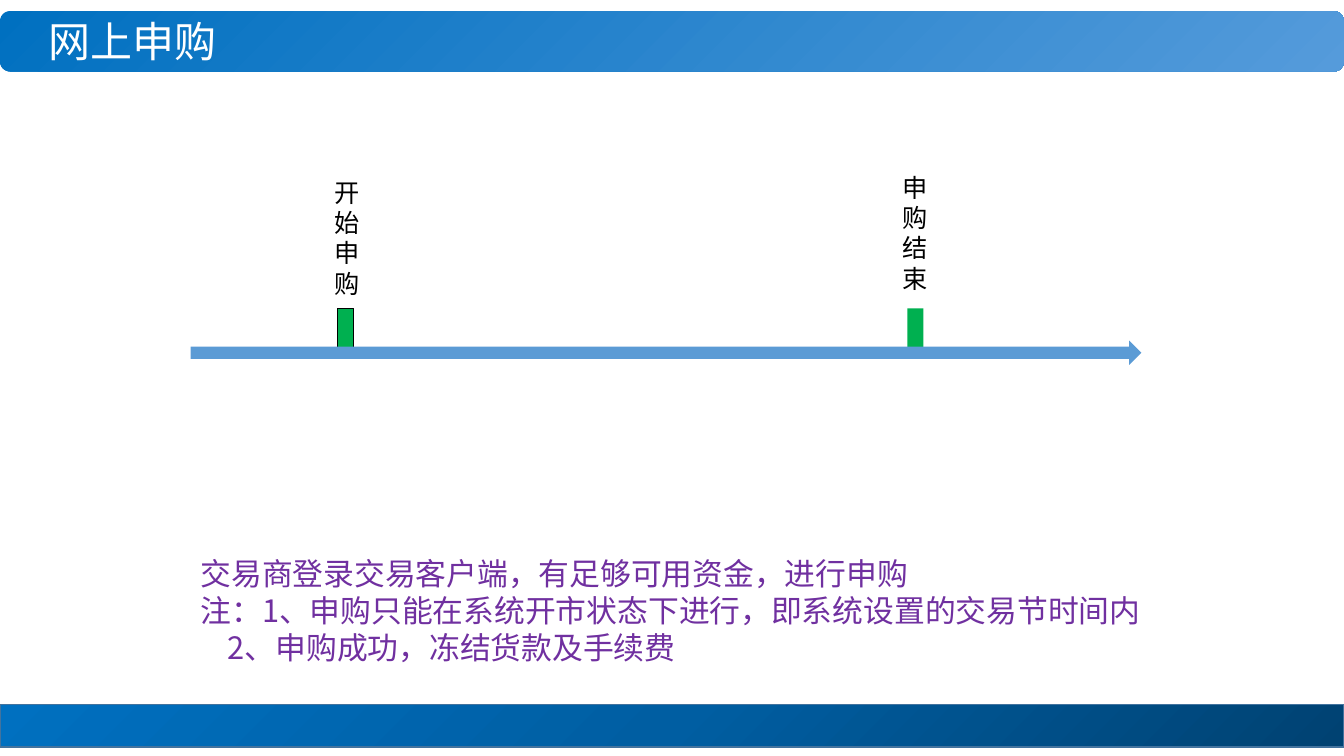
from dataclasses import dataclass

import pptx
import pptx.dml.color
import pptx.enum.shapes
import pptx.enum.text
import pptx.oxml
import pptx.oxml.ns
import pptx.util
from pptx.util import Inches

TITLE = "网上申购"
MILESTONES = [
    # label, marker left, label box (left, top, width), marker outlined
    ("开始申购", 3.35, (3.22, 1.71, 0.41), True),
    ("申购结束", 9.0, (8.85, 1.66, 0.45), False),
]
NOTES = [
    # text, left indent
    ("交易商登录交易客户端，有足够可用资金，进行申购", 0),
    ("注：1、申购只能在系统开市状态下进行，即系统设置的交易节时间内", 0),
    ("2、申购成功，冻结货款及手续费", 0.27),
]


@dataclass(frozen=True)
class Theme:
    header_stops: tuple = ((0, "0070C0"), (100, "559BDB"))
    footer_stops: tuple = ((0, "004272"), (50, "005EA2"), (100, "0070C0"))
    footer_line: str = "43739E"
    marker: str = "00B050"
    arrow: str = "5B9BD5"
    black: str = "000000"
    white: str = "FFFFFF"
    note: str = "7030A0"
    latin: str = "Calibri"
    chinese: str = "Noto Sans CJK SC"
    title_size: int = 30
    label_size: int = 18
    note_size: int = 22


THEME = Theme()
SHAPES = pptx.enum.shapes.MSO_SHAPE
ANCHOR = pptx.enum.text.MSO_ANCHOR
LINEAR = '<a:lin ang="2700000" scaled="0"/>'
FROM_BOTTOM_RIGHT = '<a:path path="circle"><a:fillToRect l="100000" t="100000"/></a:path>'


def rgb(color):
    return pptx.dml.color.RGBColor.from_string(color)


def place(shape, left, top, width, height):
    shape.left, shape.top = Inches(left), Inches(top)
    shape.width, shape.height = Inches(width), Inches(height)


def add_block(page, kind, area, fill=None, line=None, line_width=1):
    block = page.shapes.add_shape(kind, *map(Inches, area))
    block.shadow.inherit = False
    if fill:
        block.fill.solid()
        block.fill.fore_color.rgb = rgb(fill)
    if line:
        block.line.color.rgb = rgb(line)
        block.line.width = pptx.util.Pt(line_width)
    else:
        block.line.fill.background()
    return block


def set_gradient(shape, stops, direction):
    """Fill the shape with (percent, colour) stops and a DrawingML direction element."""
    stop_xml = "".join(
        f'<a:gs pos="{percent * 1000}"><a:srgbClr val="{color}"/></a:gs>'
        for percent, color in stops
    )
    gradient = pptx.oxml.parse_xml(
        f'<a:gradFill {pptx.oxml.ns.nsdecls("a")} rotWithShape="1">'
        f"<a:gsLst>{stop_xml}</a:gsLst>{direction}</a:gradFill>"
    )
    shape.fill.background()
    properties = shape._element.spPr
    properties.replace(properties.find(pptx.oxml.ns.qn("a:noFill")), gradient)


def write(box, lines, size, color, font=THEME.latin, spacing=1.0, wrap=True,
          anchor=ANCHOR.TOP, margins=(0.1, 0.05)):
    """Write (text, left indent) lines as plain left-aligned paragraphs."""
    frame = box.text_frame
    frame.auto_size = pptx.enum.text.MSO_AUTO_SIZE.NONE
    frame.word_wrap = wrap
    frame.vertical_anchor = anchor
    frame.margin_left = frame.margin_right = Inches(margins[0])
    frame.margin_top = frame.margin_bottom = Inches(margins[1])
    for index, (text, indent) in enumerate(lines):
        para = frame.paragraphs[0] if index == 0 else frame.add_paragraph()
        para.alignment = pptx.enum.text.PP_ALIGN.LEFT
        para.line_spacing = spacing
        para.space_before = para.space_after = pptx.util.Pt(0)
        properties = para._p.get_or_add_pPr()
        properties.set("marL", str(Inches(indent)))
        properties.set("indent", "0")
        properties.append(pptx.oxml.parse_xml(f'<a:buNone {pptx.oxml.ns.nsdecls("a")}/>'))
        span = para.add_run()
        span.text = text
        span.font.size = pptx.util.Pt(size)
        span.font.color.rgb = rgb(color)
        span.font.name = font
        span._r.get_or_add_rPr().append(pptx.oxml.parse_xml(
            f'<a:ea {pptx.oxml.ns.nsdecls("a")} typeface="{THEME.chinese}"/>'))


def add_bars(page):
    header = add_block(page, SHAPES.ROUNDED_RECTANGLE, (0, 0.11, 13.33, 0.6))
    set_gradient(header, THEME.header_stops, LINEAR)
    footer = add_block(page, SHAPES.RECTANGLE, (0, 6.99, 13.33, 0.42), line=THEME.footer_line)
    set_gradient(footer, THEME.footer_stops, FROM_BOTTOM_RIGHT)


def add_timeline(page):
    for label, marker_left, (left, top, width), outlined in MILESTONES:
        add_block(page, SHAPES.RECTANGLE, (marker_left, 3.06, 0.16, 0.47), THEME.marker,
                  THEME.black if outlined else None, 0.75)
        box = page.shapes.add_textbox(*map(Inches, (left, top, width, 1.31)))
        write(box, [(character, 0) for character in label], THEME.label_size, THEME.black,
              wrap=False)
    add_block(page, SHAPES.RIGHT_ARROW, (1.89, 3.38, 9.43, 0.24), THEME.arrow)


def main():
    deck = pptx.Presentation()
    deck.slide_width, deck.slide_height = Inches(13.33), Inches(7.5)
    page = deck.slides.add_slide(deck.slide_layouts[1])
    title, notes = page.shapes.title, page.placeholders[1]
    add_bars(page)
    add_timeline(page)

    place(title, 0.34, 0.06, 9.43, 0.76)
    write(title, [(TITLE, 0)], THEME.title_size, THEME.white, spacing=0.9,
          anchor=ANCHOR.MIDDLE, margins=(0.14, 0))
    place(notes, 1.89, 5.45, 10.23, 1.21)
    write(notes, NOTES, THEME.note_size, THEME.note, font=THEME.chinese)
    for placeholder in (title, notes):  # bring in front of the bars
        page.shapes._spTree.append(placeholder._element)

    deck.save("out.pptx")


if __name__ == "__main__":
    main()
